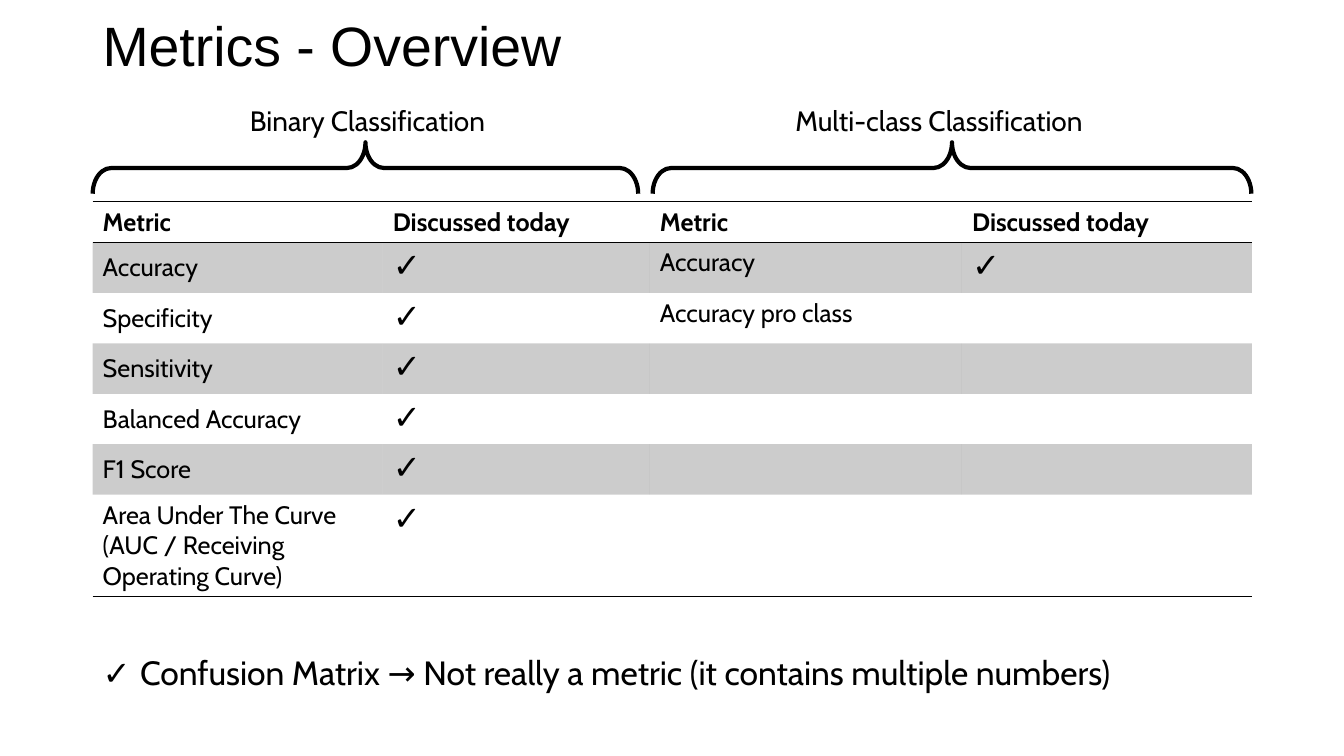
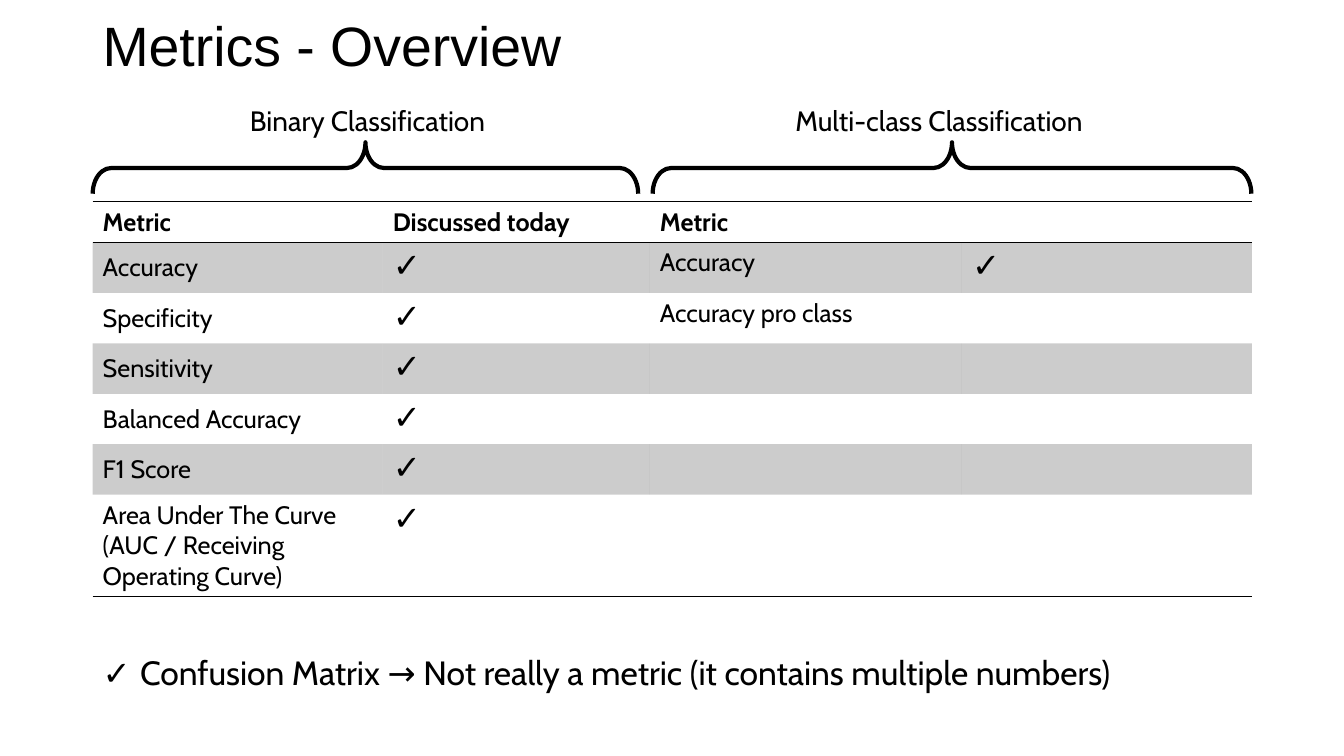
from dataclasses import dataclass

from pptx import Presentation
from pptx.dml.color import RGBColor
from pptx.enum import shapes, text
from pptx.oxml import parse_xml
from pptx.oxml.ns import nsdecls, qn
from pptx.util import Pt

TITLE = "Metrics - Overview"
CHECK = "✓"
# Header rows, one for each slide
SLIDE_HEADERS = [
    ("Metric", "Discussed today", "Metric", "Discussed today"),
    ("Metric", "Discussed today", "Metric", ""),
]
METRICS = [
    ("Accuracy", CHECK, "Accuracy", CHECK),
    ("Specificity", CHECK, "Accuracy pro class", ""),
    ("Sensitivity", CHECK, "", ""),
    ("Balanced Accuracy", CHECK, "", ""),
    ("F1 Score", CHECK, "", ""),
    ("Area Under The Curve (AUC / Receiving Operating Curve)", CHECK, "", ""),
]
REMARK = "Confusion Matrix → Not really a metric (it contains multiple numbers)"
# Label, label left, brace left, brace right
GROUPS = [
    ("Binary Classification", 171.4, 66.2, 455.8),
    ("Multi-class Classification", 561, 466.2, 893.8),
]


@dataclass(frozen=True)
class Theme:
    ink: RGBColor = RGBColor(0, 0, 0)
    band_opacity: int = 20
    body_font: str = "Cabin"
    title_font: str = "Arial"
    title_size: float = 39.6
    label_size: float = 20
    cell_size: float = 18
    check_size: float = 24
    rule: float = 1
    brace_line: float = 3


THEME = Theme()
LEFT, WIDTH = 66.2, 828
TABLE_TOP = 144
COLUMN_WIDTHS = (207.2, 190.8, 223, 207)
ROW_HEIGHTS = [29.2] + [34] * 5 + [73]
BRACE_MIDDLE, BRACE_DEPTH = 120, 36.7
PLAIN_TABLE_STYLE = "{2D5ABB26-0587-4C30-8999-92F81FD0307C}"


def style(font, name, size, bold=False):
    font.name, font.size, font.bold = name, Pt(size), bold
    font.color.rgb = THEME.ink


def add_box(slide, left, top, width, height):
    """Add a wrapping text box and return its frame and first paragraph."""
    frame = slide.shapes.add_textbox(
        Pt(left), Pt(top), Pt(width), Pt(height)).text_frame
    frame.word_wrap = True
    return frame, frame.paragraphs[0]


def add_title(slide):
    frame, title = add_box(slide, LEFT, 9.4, WIDTH, 50.4)
    frame.vertical_anchor = text.MSO_ANCHOR.MIDDLE
    title.text = TITLE
    title.line_spacing = 0.9
    style(title.font, THEME.title_font, THEME.title_size)


def add_group(slide, name, label_left, start, end):
    """Add a group label and the brace that spans its columns."""
    _, label = add_box(slide, label_left, 70.6, 251.3, 31.5)
    label.text = name
    style(label.font, THEME.body_font, THEME.label_size)

    span = end - start
    brace = slide.shapes.add_shape(
        shapes.MSO_SHAPE.LEFT_BRACE,
        Pt((start + end - BRACE_DEPTH) / 2), Pt(BRACE_MIDDLE - span / 2),
        Pt(BRACE_DEPTH), Pt(span))
    brace.rotation = 90
    brace.adjustments[0] = 0.358
    brace.adjustments[1] = 0.5
    brace.shadow.inherit = False
    brace.fill.background()
    brace.line.color.rgb = THEME.ink
    brace.line.width = Pt(THEME.brace_line)


def fill_cell(cell, banded):
    if not banded:
        cell.fill.background()
        return
    cell.fill.solid()
    cell.fill.fore_color.rgb = THEME.ink
    color = cell._tc.tcPr.find(".//" + qn("a:srgbClr"))
    color.append(parse_xml(
        f'<a:alpha {nsdecls("a")} val="{THEME.band_opacity * 1000}"/>'))


def rule_cell(cell, edges):
    """Draw the given edges; border elements must precede the fill."""
    for position, edge in enumerate(edges):
        cell._tc.get_or_add_tcPr().insert(position, parse_xml(
            f'<a:{edge} {nsdecls("a")} w="{Pt(THEME.rule)}"><a:solidFill>'
            f'<a:srgbClr val="{THEME.ink}"/></a:solidFill></a:{edge}>'))


def add_metrics(slide, headers):
    rows = [headers] + METRICS
    table = slide.shapes.add_table(
        len(rows), len(headers), Pt(LEFT), Pt(TABLE_TOP),
        Pt(WIDTH), Pt(sum(ROW_HEIGHTS))).table
    table.first_row = table.horz_banding = False
    table._tbl.tblPr.find(qn("a:tableStyleId")).text = PLAIN_TABLE_STYLE
    for column, width in zip(table.columns, COLUMN_WIDTHS):
        column.width = Pt(width)
    edges = {0: ("lnT", "lnB"), len(rows) - 1: ("lnB",)}

    for r, values in enumerate(rows):
        table.rows[r].height = Pt(ROW_HEIGHTS[r])
        for c, value in enumerate(values):
            cell = table.cell(r, c)
            fill_cell(cell, banded=r % 2 == 1)
            rule_cell(cell, edges.get(r, ()))
            if r and c == 0:
                cell.vertical_anchor = text.MSO_ANCHOR.MIDDLE
            entry = cell.text_frame.paragraphs[0]
            entry.text = value
            if value == CHECK:
                style(entry.font, THEME.title_font, THEME.check_size)
            else:
                style(entry.font, THEME.body_font, THEME.cell_size, bold=r == 0)


def add_remark(slide):
    _, remark = add_box(slide, LEFT, 462.2, 841.7, 36)
    for words, font in ((CHECK + " ", THEME.title_font),
                        (REMARK, THEME.body_font)):
        run = remark.add_run()
        run.text = words
        style(run.font, font, THEME.check_size)


def main():
    deck = Presentation()
    deck.slide_width, deck.slide_height = Pt(960), Pt(540)
    for headers in SLIDE_HEADERS:
        slide = deck.slides.add_slide(deck.slide_layouts[6])
        add_title(slide)
        add_metrics(slide, headers)
        add_remark(slide)
        for group in GROUPS:
            add_group(slide, *group)
    deck.save("out.pptx")


if __name__ == "__main__":
    main()
